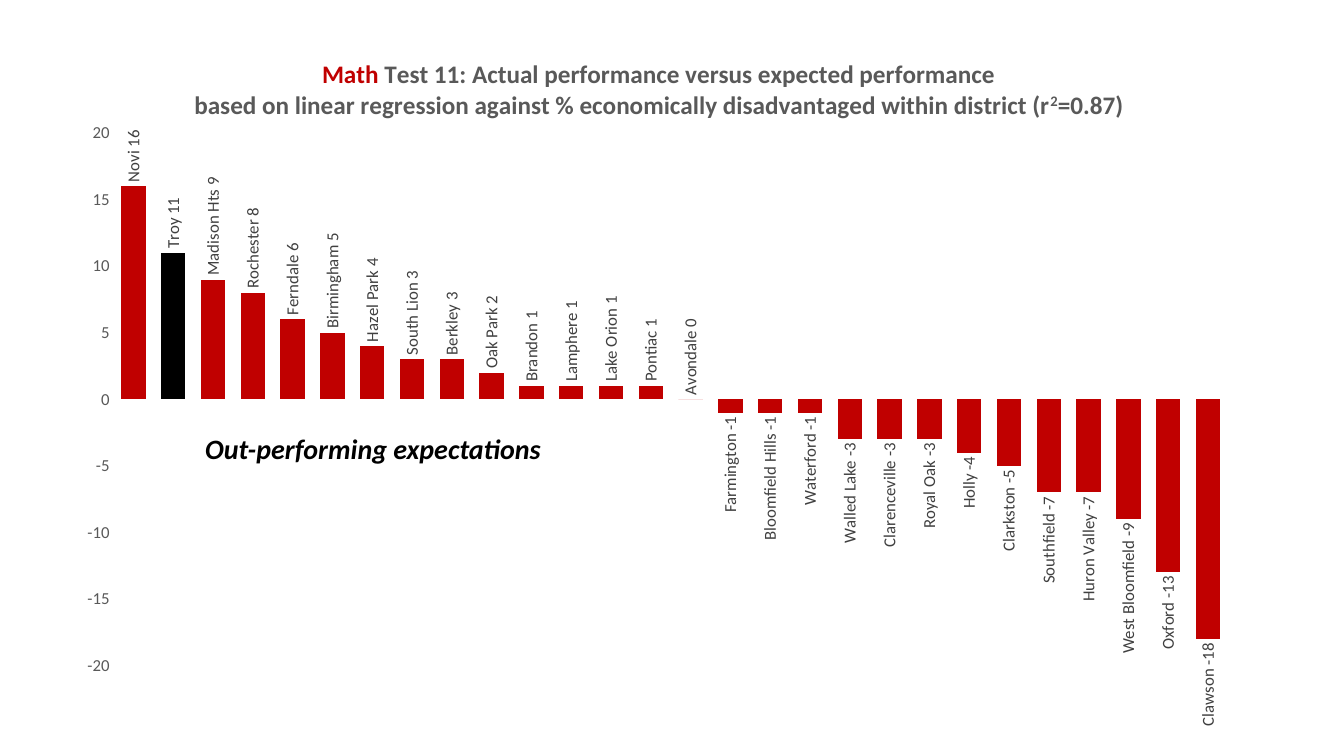
from lxml import etree
from pptx import Presentation
from pptx.chart.data import CategoryChartData
from pptx.dml.color import RGBColor
from pptx.enum.chart import XL_CHART_TYPE, XL_LABEL_POSITION, XL_TICK_MARK
from pptx.enum.text import MSO_AUTO_SIZE, PP_ALIGN
from pptx.oxml.ns import qn
from pptx.util import Pt

COLUMNS = XL_CHART_TYPE.COLUMN_CLUSTERED
OUTSIDE_END = XL_LABEL_POSITION.OUTSIDE_END
NO_TICKS = XL_TICK_MARK.NONE
FIT_SHAPE = MSO_AUTO_SIZE.SHAPE_TO_FIT_TEXT
CENTER = PP_ALIGN.CENTER

RED = RGBColor(0xC0, 0x00, 0x00)
BLACK = RGBColor(0x00, 0x00, 0x00)
GRAY = RGBColor(0x59, 0x59, 0x59)
DARK_GRAY = RGBColor(0x40, 0x40, 0x40)

# Points above or below the expected math score
DISTRICTS = {
    "Novi": 16, "Troy": 11, "Madison Hts": 9, "Rochester": 8, "Ferndale": 6,
    "Birmingham": 5, "Hazel Park": 4, "South Lion": 3, "Berkley": 3,
    "Oak Park": 2, "Brandon": 1, "Lamphere": 1, "Lake Orion": 1,
    "Pontiac": 1, "Avondale": 0, "Farmington": -1, "Bloomfield Hills": -1,
    "Waterford": -1, "Walled Lake": -3, "Clarenceville": -3, "Royal Oak": -3,
    "Holly": -4, "Clarkston": -5, "Southfield": -7, "Huron Valley": -7,
    "West Bloomfield": -9, "Oxford": -13, "Clawson": -18,
}
HIGHLIGHT = "Troy"

# Each line is a list of (text, colour, superscript)
TITLE = [
    [("Math", RED, False),
     (" Test 11: Actual performance versus expected performance", GRAY, False)],
    [("based on linear regression against % economically disadvantaged "
      "within district (r", GRAY, False),
     ("2", GRAY, True), ("=0.87)", GRAY, False)],
]


class SlideBuilder:
    """Holds the text style and the current slide."""

    def __init__(self, slide, font_name):
        self.slide = slide
        self.font_name = font_name

    def style(self, font, size, color, bold=False, italic=False):
        font.name = self.font_name
        font.size = Pt(size)
        font.bold = bold
        font.italic = italic
        font.color.rgb = color

    def place(self, element, index, **position):
        """Give a chart part a manual layout in fractions of the chart."""
        for old_layout in element.findall(qn("c:layout")):
            element.remove(old_layout)
        layout = etree.Element(qn("c:layout"))
        manual = etree.SubElement(layout, qn("c:manualLayout"))
        for name, value in position.items():
            etree.SubElement(manual, qn(f"c:{name}")).set("val", str(value))
        element.insert(index, layout)

    def text(self, left, top, width, height, text, size, color):
        shape = self.slide.shapes.add_textbox(
            Pt(left), Pt(top), Pt(width), Pt(height))
        frame = shape.text_frame
        frame.word_wrap = True
        frame.auto_size = FIT_SHAPE
        run = frame.paragraphs[0].add_run()
        run.text = text
        self.style(run.font, size, color, bold=True, italic=True)

    def chart_title(self, chart, lines, size):
        frame = chart.chart_title.text_frame
        for number, line in enumerate(lines):
            paragraph = frame.add_paragraph() if number else frame.paragraphs[0]
            paragraph.alignment = CENTER
            for text, color, superscript in line:
                run = paragraph.add_run()
                run.text = text
                self.style(run.font, size, color, bold=True)
                if superscript:
                    run.font._element.set("baseline", "30000")
        chart.chart_title.include_in_layout = False
        self.place(chart.chart_title._element, 1,
                   xMode="edge", yMode="edge", x=0.1, y=0.03)

    def data_labels(self, series, size):
        labels = series.data_labels
        labels.show_value = True
        labels.show_category_name = True
        labels.number_format = "0"
        labels.number_format_is_linked = False
        labels.position = OUTSIDE_END
        self.style(labels.font, size, DARK_GRAY)
        element = labels._element
        body = element.find(f"{qn('c:txPr')}/{qn('a:bodyPr')}")
        body.set("rot", "-5400000")
        body.set("vert", "horz")
        separator = etree.Element(qn("c:separator"))
        separator.text = " "
        element.find(qn("c:showBubbleSize")).addnext(separator)

    def column_chart(self, left, top, width, height, values, highlight):
        data = CategoryChartData(number_format="0")
        data.categories = list(values)
        data.add_series("Series 1", list(values.values()))
        chart = self.slide.shapes.add_chart(
            COLUMNS, Pt(left), Pt(top), Pt(width), Pt(height), data).chart
        self.style(chart.font, 10, BLACK)
        chart.has_legend = False

        # Columns
        plot = chart.plots[0]
        plot.gap_width = 63
        plot.overlap = -27
        plot.vary_by_categories = False
        series = plot.series[0]
        series.invert_if_negative = False
        series.format.fill.solid()
        series.format.fill.fore_color.rgb = RED
        point_fill = series.points[list(values).index(highlight)].format.fill
        point_fill.solid()
        point_fill.fore_color.rgb = BLACK
        self.data_labels(series, 12)

        # Axes
        chart.category_axis.visible = False
        axis = chart.value_axis
        axis.minimum_scale, axis.maximum_scale, axis.major_unit = -20, 20, 5
        axis.has_major_gridlines = False
        axis.major_tick_mark = axis.minor_tick_mark = NO_TICKS
        axis.format.line.fill.background()
        axis.tick_labels.number_format = "0"
        axis.tick_labels.number_format_is_linked = False
        self.style(axis.tick_labels.font, 12, GRAY)

        plot_area = chart._chartSpace.find(f".//{qn('c:plotArea')}")
        self.place(plot_area, 0, layoutTarget="inner", xMode="edge",
                   yMode="edge", x=0.034, y=0.142, w=0.946, h=0.76)
        return chart


def main():
    presentation = Presentation()
    presentation.slide_width = Pt(960)
    presentation.slide_height = Pt(540)
    slide = presentation.slides.add_slide(presentation.slide_layouts[6])
    builder = SlideBuilder(slide, "Calibri")

    # Chart with its two-line title
    chart = builder.column_chart(52.5, 24, 841.5, 500.5, DISTRICTS, HIGHLIGHT)
    builder.chart_title(chart, TITLE, 18)

    # Note under the positive columns
    builder.text(139.5, 304.5, 270, 31.5, "Out-performing expectations", 20, BLACK)

    presentation.save("out.pptx")


if __name__ == "__main__":
    main()
